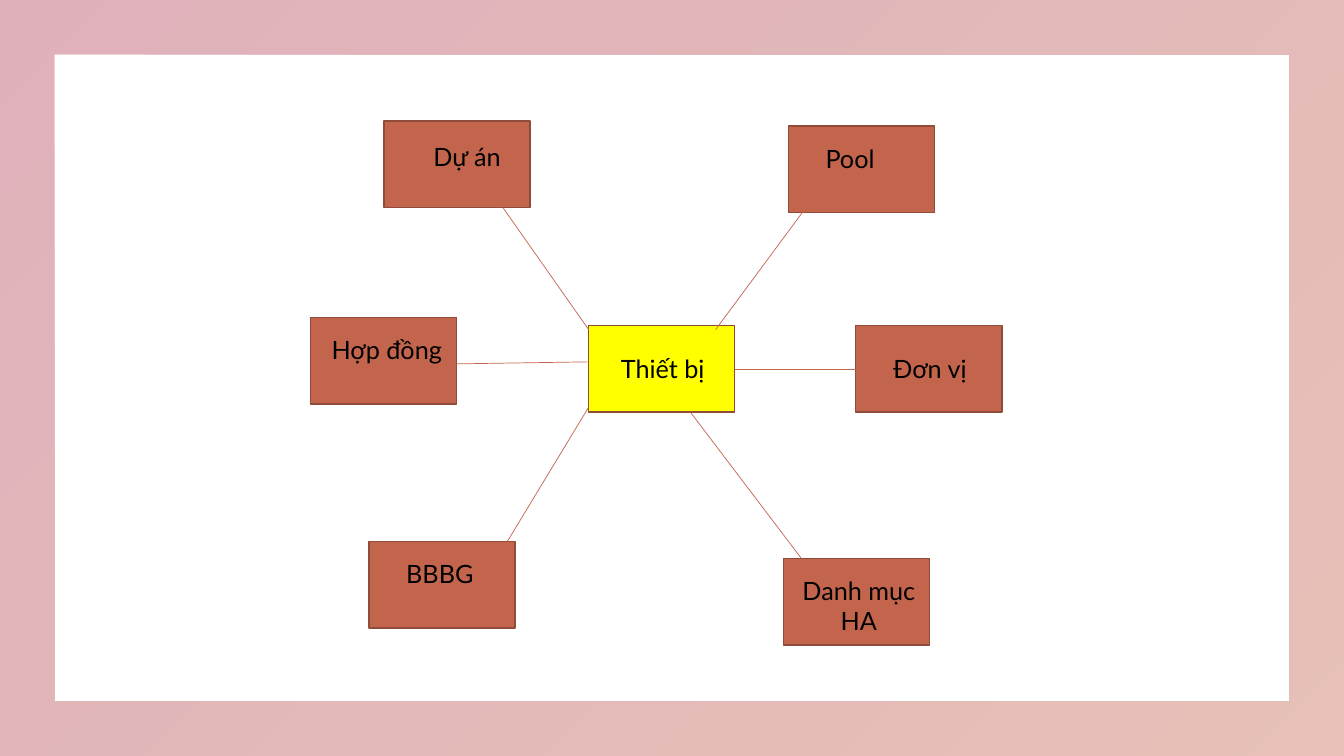
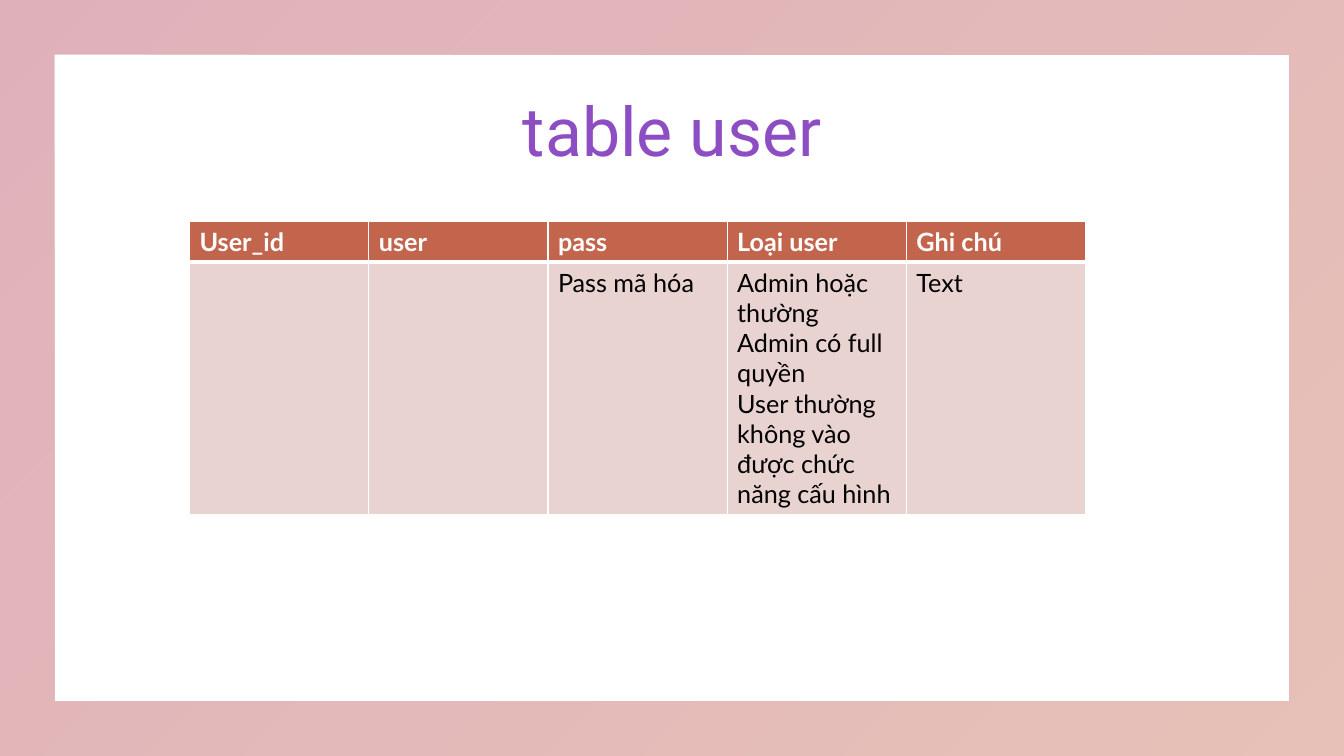
from dataclasses import dataclass

from lxml import etree
from pptx import Presentation
from pptx import util as u
from pptx.dml.color import RGBColor
from pptx.enum import shapes, text
from pptx.oxml import ns

BLANK, TITLE = 6, 5  # layouts of the template
TOP, LEFT, BOTTOM, RIGHT = range(4)  # connection sites


@dataclass(frozen=True)
class Theme:
    rust: str = "C3654D"
    edge: str = "904B39"
    rose: str = "B13B54"
    pale: str = "E9D3D0"
    hub: str = "FFFF00"
    head: str = "8D4DC3"
    ink: str = "000000"
    white: str = "FFFFFF"
    face: str = "Lato"
    title: str = "Roboto"
    big: float = 48.6
    size: float = 18
    veil: int = 40000  # opacity of the frame, in 1/1000 percent


def rgb(tone):
    return RGBColor.from_string(tone)


def grid(*cells):
    """Turn grid cells (a tenth of an inch each) into lengths."""
    return [u.Inches(n / 10) for n in cells]


class Deck:
    def __init__(self, theme):
        self.look = theme
        self.prs = Presentation()
        self.prs.slide_width = u.Inches(40 / 3)
        self.prs.slide_height = u.Inches(7.5)

    def page(self, kind):
        self.slide = self.prs.slides.add_slide(self.prs.slide_layouts[kind])
        self.draw = self.slide.shapes

    def font(self, para, tone, size=None, face=None, bold=False):
        font = para.font
        font.name = face or self.look.face
        font.size = u.Pt(size or self.look.size)
        font.color.rgb = rgb(tone)
        font.bold = bold

    def frame(self):
        """Draw the shared tinted frame and move it to the slide master."""
        rim = self.draw.add_shape(
            shapes.MSO_SHAPE.FRAME, 0, 0,
            self.prs.slide_width, self.prs.slide_height)
        rim.adjustments[0] = 0.072
        rim.shadow.inherit = False
        rim.line.fill.background()
        rim.fill.gradient()
        rim.fill.gradient_angle = 315
        tones = (self.look.rose, self.look.rust)
        for spot, (stop, tone) in enumerate(zip(rim.fill.gradient_stops, tones)):
            stop.position = spot
            stop.color.rgb = rgb(tone)
        for tint in rim.element.iter(ns.qn("a:srgbClr")):
            etree.SubElement(tint, ns.qn("a:alpha"), val=str(self.look.veil))
        rim.element.xpath("p:nvSpPr/p:cNvPr")[0].set("id", "20")
        self.prs.slide_master.shapes.element.append(rim.element)

    def title(self, words, *place):
        head = self.draw.title
        head.left, head.top, head.width, head.height = grid(*place)
        body = head.text_frame
        body.text = words
        body.auto_size = text.MSO_AUTO_SIZE.NONE
        body.vertical_anchor = text.MSO_ANCHOR.BOTTOM
        para = body.paragraphs[0]
        para.alignment = text.PP_ALIGN.CENTER
        para.line_spacing = 0.9
        self.font(para, self.look.head, self.look.big, self.look.title)

    def box(self, words, col, row, pad, drop, fill=None, mid=False):
        """Box whose label starts pad columns and drop rows inside it."""
        box = self.draw.add_shape(
            shapes.MSO_SHAPE.RECTANGLE, *grid(col, row, 14.5, 8.6))
        box.shadow.inherit = False
        box.fill.solid()
        box.fill.fore_color.rgb = rgb(fill or self.look.rust)
        box.line.color.rgb = rgb(self.look.edge)
        box.line.width = u.Pt(1)
        body = box.text_frame
        body.word_wrap = True
        body.margin_left, body.margin_top = grid(pad, drop)
        body.margin_right = body.margin_bottom = 0
        body.vertical_anchor = text.MSO_ANCHOR.TOP
        body.text = words
        para = body.paragraphs[0]
        para.alignment = text.PP_ALIGN.CENTER if mid else text.PP_ALIGN.LEFT
        self.font(para, self.look.ink)
        return box

    def line(self, *ends):
        line = self.draw.add_connector(
            shapes.MSO_CONNECTOR.STRAIGHT, *grid(*ends))
        line.line.color.rgb = rgb(self.look.rust)
        line.line.width = u.Pt(0.5)
        etree.SubElement(line.element.spPr, ns.qn("a:effectLst"))
        return line

    def rule(self, cell, widths):
        """Give a cell white borders: left, right, top, bottom."""
        props = cell._tc.get_or_add_tcPr()
        for spot, (side, width) in enumerate(zip("LRTB", widths)):
            edge = etree.Element(ns.qn("a:ln" + side), w=str(u.Pt(width)))
            fill = etree.SubElement(edge, ns.qn("a:solidFill"))
            etree.SubElement(fill, ns.qn("a:srgbClr"), val=self.look.white)
            props.insert(spot, edge)

    def table(self, rows, col, row, wide, highs):
        holder = self.draw.add_table(
            len(rows), len(rows[0]), *grid(col, row, wide, sum(highs)))
        table = holder.table
        table.horz_banding = False
        for r, (words, high) in enumerate(zip(rows, highs)):
            table.rows[r].height = grid(high)[0]
            top = r == 0
            for c, word in enumerate(words):
                cell = table.cell(r, c)
                cell.text = word
                cell.fill.solid()
                cell.fill.fore_color.rgb = rgb(
                    self.look.rust if top else self.look.pale)
                self.rule(cell, (1, 1, 1 if top else 3, 3 if top else 1))
                for para in cell.text_frame.paragraphs:
                    self.font(para, self.look.white if top else self.look.ink,
                              bold=top)


def main():
    deck = Deck(Theme())

    # Device map: hub and its six neighbours
    deck.page(BLANK)
    deck.frame()
    hub = deck.box("Thiết bị", 58.4, 32.3, 3.2, 2.8, fill=deck.look.hub)
    unit = deck.box("Đơn vị", 84.9, 32.3, 3.7, 2.8)
    for spot in (
        ("Dự án", 38.1, 12, 4.9, 2),
        ("Hợp đồng", 30.8, 31.5, 2.1, 1.7),
        ("BBBG", 36.6, 53.7, 3.7, 1.7),
        ("Pool", 78.2, 12.5, 3.7, 1.7),
    ):
        deck.box(*spot)
    deck.box("Danh mục HA", 77.7, 55.4, 0.5, 1.7, mid=True)

    # Spokes
    for ends in (
        (49.9, 20.6, 58.4, 32.7),
        (71, 32.7, 80.4, 20),
        (68.5, 40.9, 79.5, 55.4),
        (58.4, 40.4, 50.1, 54.1),
        (58.4, 35.9, 45.3, 36.1),
    ):
        deck.line(*ends)
    link = deck.line(72.9, 36.6, 84.9, 36.6)
    link.begin_connect(hub, RIGHT)
    link.end_connect(unit, LEFT)

    # User table
    deck.page(TITLE)
    deck.title("table user", 16.7, 12.3, 100, 5.2)
    rights = "\n".join((
        "Admin hoặc thường",
        "Admin có full quyền",
        "User thường không vào được chức năng cấu hình",
    ))
    deck.table(
        [("User_id", "user", "pass", "Loại user", "Ghi chú"),
         ("", "", "Pass mã hóa", rights, "Text")],
        18.8, 22, 88.9, (4, 24.9))

    deck.prs.save("out.pptx")


if __name__ == "__main__":
    main()
